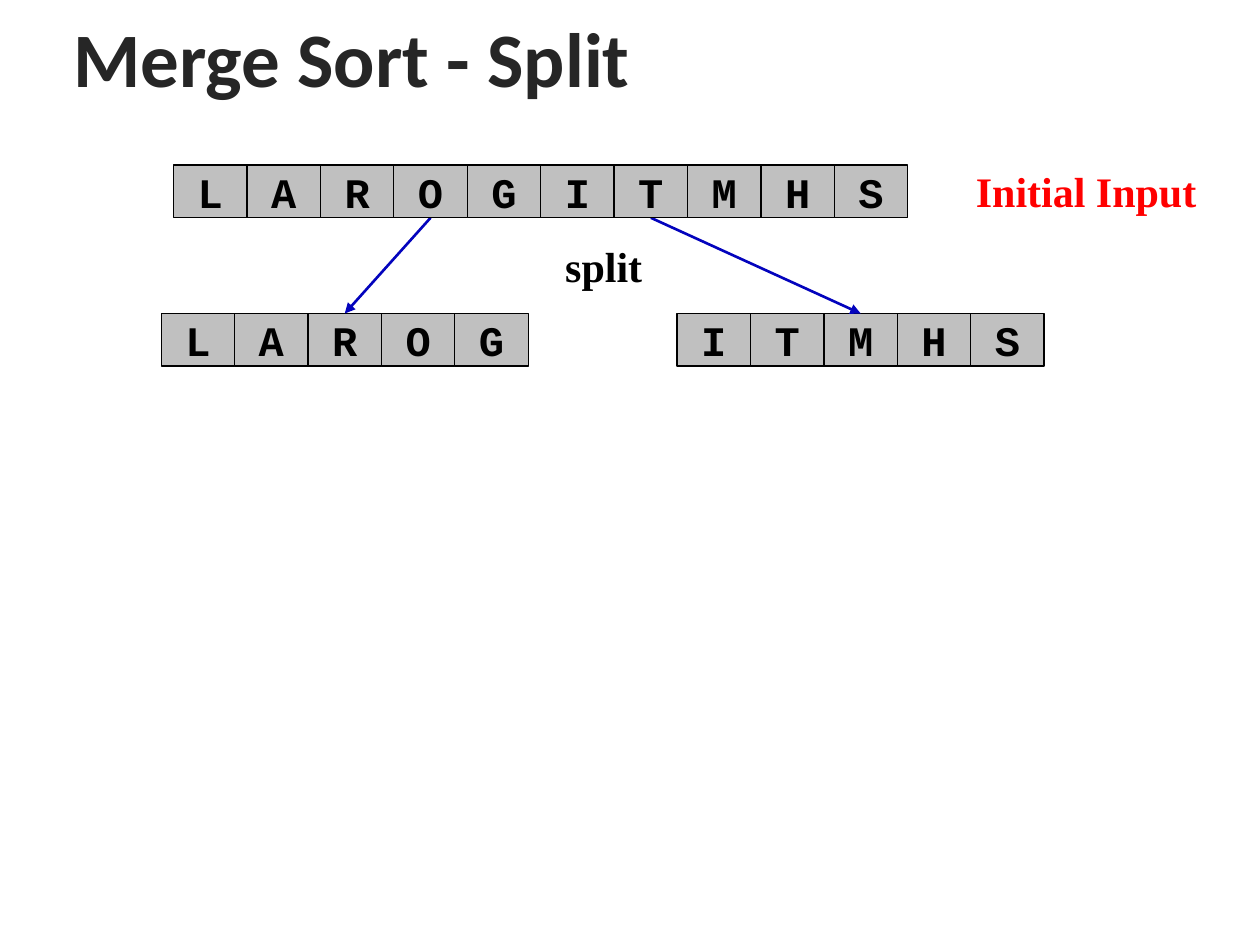
import dataclasses

import lxml.etree
import pptx
import pptx.dml.color
import pptx.enum.shapes
import pptx.enum.text
import pptx.oxml.ns
import pptx.shapes.autoshape
import pptx.shapes.group
import pptx.util

Cm = pptx.util.Cm
Pt = pptx.util.Pt
RGB = pptx.dml.color.RGBColor
Shape = pptx.shapes.autoshape.Shape
Group = pptx.shapes.group.GroupShape
qn = pptx.oxml.ns.qn


@dataclasses.dataclass(frozen=True)
class Theme:
    title_color: RGB = RGB(0x26, 0x26, 0x26)
    text_color: RGB = RGB(0, 0, 0)
    accent: RGB = RGB(0xFF, 0, 0)
    cell_fill: RGB = RGB(0xC0, 0xC0, 0xC0)
    arrow: RGB = RGB(0x03, 0x03, 0xBD)
    title_font: str = "Calibri"
    cell_font: str = "Courier New"
    label_font: str = "Times New Roman"
    title_size: Pt = Pt(44)
    text_size: Pt = Pt(24)


@dataclasses.dataclass(frozen=True)
class Array:
    letters: str
    left: float
    top: float


@dataclasses.dataclass(frozen=True)
class Label:
    text: str
    left: float
    top: float
    width: float
    color: RGB


THEME = Theme()
CELL_W, CELL_H = 1.48, 1.06
LABEL_H = 1.02
INPUT_TOP, HALF_TOP = 3.33, 6.32

INPUT = Array("LAROGITMHS", 3.5, INPUT_TOP)
LEFT_HALF = Array("LAROG", 3.25, HALF_TOP)
RIGHT_HALF = Array("ITMHS", 13.65, HALF_TOP)
SPLIT_LABEL = Label("split", 10.95, 4.85, 2.44, THEME.text_color)
INPUT_LABEL = Label("Initial Input", 19.28, INPUT_TOP, 5.23, THEME.accent)


def add_text(sp: Shape, text: str, font: str, size: Pt, color: RGB,
             align: pptx.enum.text.PP_ALIGN) -> None:
    tf = sp.text_frame
    tf.vertical_anchor = pptx.enum.text.MSO_ANCHOR.MIDDLE
    p = tf.paragraphs[0]
    p.alignment = align
    r = p.add_run()
    r.text = text
    r.font.name, r.font.size, r.font.bold = font, size, True
    r.font.color.rgb = color


def add_array(group: Group, array: Array) -> list[Shape]:
    cells = []
    for i, letter in enumerate(array.letters):
        sp = group.shapes.add_shape(
            pptx.enum.shapes.MSO_SHAPE.RECTANGLE,
            Cm(array.left + i * CELL_W), Cm(array.top), Cm(CELL_W), Cm(CELL_H))
        sp.shadow.inherit = False
        sp.fill.solid()
        sp.fill.fore_color.rgb = THEME.cell_fill
        sp.line.color.rgb = THEME.text_color
        sp.line.width = Pt(0.75)
        sp.text_frame.word_wrap = False
        add_text(sp, letter, THEME.cell_font, THEME.text_size,
                 THEME.text_color, pptx.enum.text.PP_ALIGN.CENTER)
        cells.append(sp)
    return cells


def add_label(group: Group, label: Label) -> None:
    sp = group.shapes.add_textbox(Cm(label.left), Cm(label.top),
                                  Cm(label.width), Cm(LABEL_H))
    sp.text_frame.word_wrap = True
    add_text(sp, label.text, THEME.label_font, THEME.text_size,
             label.color, pptx.enum.text.PP_ALIGN.CENTER)


def add_arrow(group: Group, source: Shape, target: Shape) -> None:
    line = group.shapes.add_connector(
        pptx.enum.shapes.MSO_CONNECTOR.STRAIGHT,
        source.left, source.top, target.left, target.top)
    line.begin_connect(source, 2)
    line.end_connect(target, 0)
    line.line.color.rgb = THEME.arrow
    line.line.width = Pt(1.5)
    lxml.etree.SubElement(line.line._get_or_add_ln(), qn("a:tailEnd"),
                          type="triangle")
    lxml.etree.SubElement(line._element.spPr, qn("a:effectLst"))


def main() -> None:
    prs = pptx.Presentation()
    prs.slide_width, prs.slide_height = Cm(25.4), Cm(19.05)
    s = prs.slides.add_slide(prs.slide_layouts[5])

    # Title
    title = s.shapes.title
    title.left, title.top = Cm(1.22), Cm(0.2)
    title.width, title.height = Cm(23.34), Cm(1.9)
    add_text(title, "Merge Sort - Split", THEME.title_font, THEME.title_size,
             THEME.title_color, pptx.enum.text.PP_ALIGN.LEFT)

    # Initial input and the two halves
    split_group = s.shapes.add_group_shape()
    input_group = s.shapes.add_group_shape()
    whole = add_array(input_group, INPUT)
    left = add_array(split_group, LEFT_HALF)
    right = add_array(split_group, RIGHT_HALF)

    # Arrows from the input to the middle of each half
    add_arrow(split_group, whole[3], left[2])
    add_arrow(split_group, whole[6], right[2])

    # Labels
    add_label(split_group, SPLIT_LABEL)
    add_label(input_group, INPUT_LABEL)

    prs.save("out.pptx")


if __name__ == "__main__":
    main()
